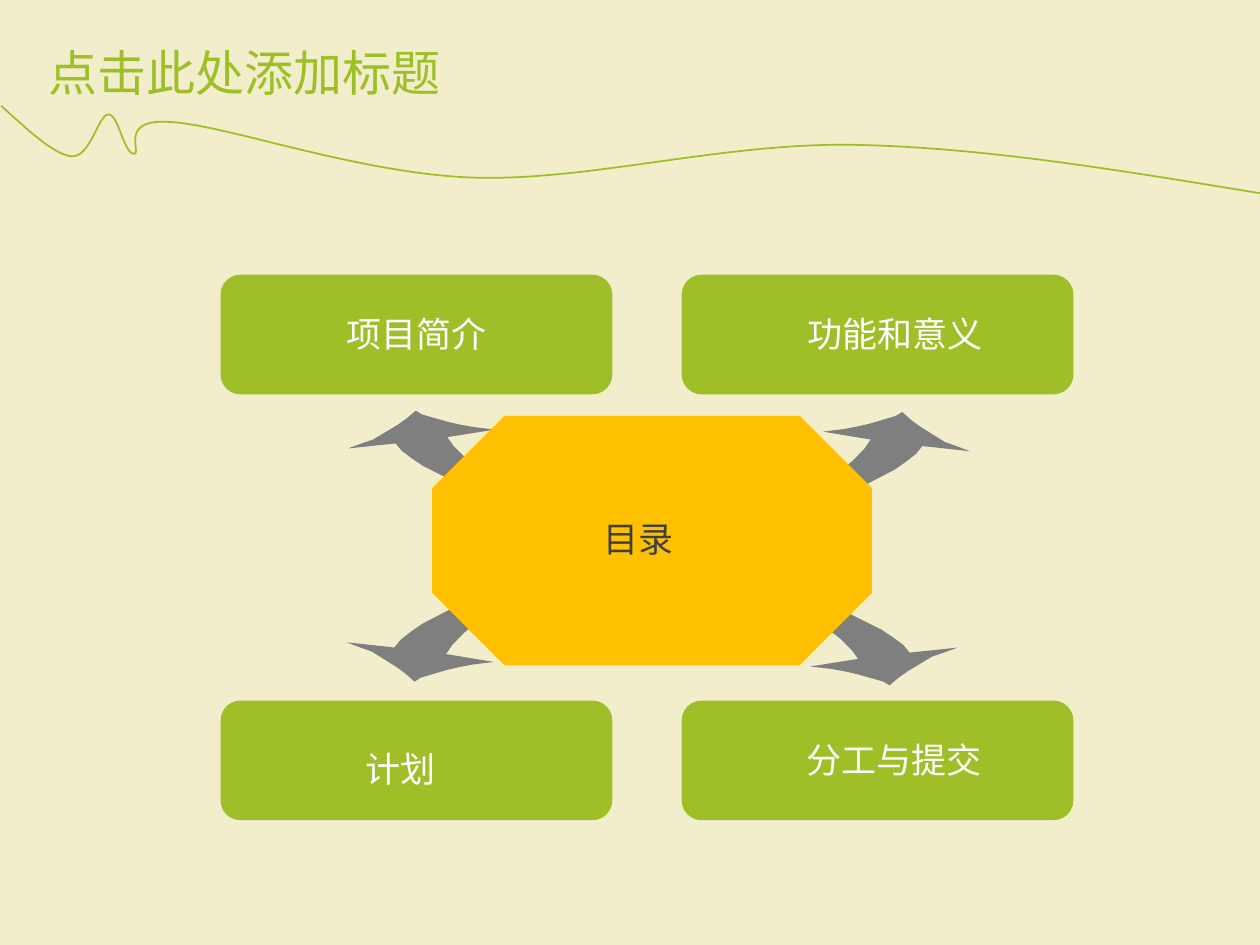
"""Build a contents slide with four topics around a central octagon."""
from dataclasses import dataclass

from pptx import Presentation
from pptx.dml.color import RGBColor
from pptx.enum.shapes import MSO_SHAPE as Shape
from pptx.enum.text import MSO_AUTO_SIZE as AutoSize
from pptx.oxml.ns import qn
from pptx.util import Inches, Pt


@dataclass(frozen=True)
class Theme:
    background: RGBColor = RGBColor.from_string("F2EDCA")
    green: RGBColor = RGBColor.from_string("9EBF27")
    gold: RGBColor = RGBColor.from_string("FFC000")
    gray: RGBColor = RGBColor.from_string("7F7F7F")
    white: RGBColor = RGBColor.from_string("FFFFFF")
    dark: RGBColor = RGBColor.from_string("404040")
    font: str = "Noto Sans CJK SC"
    title_size: Pt = Pt(28)
    label_size: Pt = Pt(20)


theme = Theme()
presentation = Presentation()
presentation.slide_width, presentation.slide_height = Inches(10), Inches(7.5)
slide = presentation.slides.add_slide(presentation.slide_layouts[6])
slide.background.fill.solid()
slide.background.fill.fore_color.rgb = theme.background


def add_outline(points, closed):
    """Add a freeform through points given in inches."""
    corners = [(Inches(x), Inches(y)) for x, y in points]
    builder = slide.shapes.build_freeform(*corners[0], scale=1.0)
    builder.add_line_segments(corners[1:], close=closed)
    shape = builder.convert_to_shape()
    shape.shadow.inherit = False
    return shape


def paint(shape, color):
    """Give a shape a flat fill without line or shadow."""
    shape.shadow.inherit = False
    shape.fill.solid()
    shape.fill.fore_color.rgb = color
    shape.line.fill.background()


wave_start = (0.01, 0.84)
wave_curves = [
    ((0.22, 1.03), (0.43, 1.23), (0.57, 1.24)),
    ((0.72, 1.25), (0.78, 0.91), (0.86, 0.91)),
    ((0.94, 0.9), (0.98, 1.21), (1.06, 1.22)),
    ((1.14, 1.23), (0.92, 0.93), (1.37, 0.97)),
    ((1.82, 1), (2.86, 1.38), (3.76, 1.41)),
    ((4.67, 1.44), (5.74, 1.13), (6.78, 1.15)),
    ((7.83, 1.17), (8.93, 1.36), (10.04, 1.54)),
]
steps = 32
wave_points = [wave_start]
for first, second, end in wave_curves:
    start = wave_points[-1]
    for step in range(1, steps + 1):
        t = step / steps
        weights = ((1 - t) ** 3, 3 * t * (1 - t) ** 2, 3 * t**2 * (1 - t), t**3)
        controls = (start, first, second, end)
        wave_points.append(tuple(
            sum(weight * point[axis] for weight, point in zip(weights, controls))
            for axis in (0, 1)
        ))
wave = add_outline(wave_points, closed=False)
wave.fill.background()
wave.line.color.rgb = theme.green
wave.line.width = Pt(1)

arrow_width, arrow_height = 1.78, 0.74
arrow_points = [
    (0, 0.01), (0.1, 0), (0.26, 0.01), (0.42, 0.02), (0.54, 0.04),
    (0.65, 0.07), (0.77, 0.11), (0.88, 0.15), (0.98, 0.2), (1.08, 0.25),
    (1.18, 0.3), (1.27, 0.36), (1.35, 0.42), (1.4, 0.48), (1.78, 0.44),
    (1.67, 0.48), (1.58, 0.51), (1.48, 0.57), (1.38, 0.63), (1.31, 0.68),
    (1.24, 0.74), (1.19, 0.71), (1.12, 0.69), (1.05, 0.67), (0.98, 0.65),
    (0.89, 0.63), (0.78, 0.61), (0.61, 0.59), (0.99, 0.53), (0.94, 0.46),
    (0.85, 0.37), (0.76, 0.3), (0.68, 0.24), (0.58, 0.17), (0.5, 0.13),
    (0.41, 0.09), (0.31, 0.06), (0.21, 0.04), (0.09, 0.02),
]
arrows = [
    (5.92, 3.27, 0.77, False, True),
    (5.82, 4.7, 0.74, False, False),
    (2.75, 4.64, 0.77, True, False),
    (2.76, 3.26, 0.74, True, True),
]
for left, top, height, flip_x, flip_y in arrows:
    stretch = height / arrow_height
    points = [
        (left + (arrow_width - x if flip_x else x),
         top + stretch * (arrow_height - y if flip_y else y))
        for x, y in arrow_points
    ]
    paint(add_outline(points, closed=True), theme.gray)

octagon = slide.shapes.add_shape(
    Shape.OCTAGON, Inches(3.43), Inches(3.3), Inches(3.49), Inches(1.98))
octagon.adjustments[0] = 0.29
paint(octagon, theme.gold)

for top in (2.18, 5.56):
    for left in (1.75, 5.41):
        card = slide.shapes.add_shape(
            Shape.ROUNDED_RECTANGLE,
            Inches(left), Inches(top), Inches(3.11), Inches(0.95))
        paint(card, theme.green)

title_format = {"size": theme.title_size, "color": theme.green}
topic_format = {"size": theme.label_size, "color": theme.white}
center_format = {"size": theme.label_size, "color": theme.dark}
side_padding = Inches(0.23)
labels = [
    ("点击此处添加标题", 0.29, 0.29, 0.57, title_format),
    ("项目简介", 2.65, 2.43, 0.44, topic_format),
    ("功能和意义", 6.31, 2.43, 0.44, topic_format),
    ("分工与提交", 6.3, 5.81, 0.44, topic_format),
    ("计划", 2.8, 5.88, 0.44, topic_format),
    ("目录", 4.69, 4.06, 0.44, center_format),
]
for text, left, top, height, text_format in labels:
    width = len(text) * text_format["size"] + side_padding
    box = slide.shapes.add_textbox(Inches(left), Inches(top), width, Inches(height))
    frame = box.text_frame
    frame.word_wrap = False
    frame.auto_size = AutoSize.SHAPE_TO_FIT_TEXT
    run = frame.paragraphs[0].add_run()
    run.text = text
    for name, value in {"name": theme.font, "size": text_format["size"]}.items():
        setattr(run.font, name, value)
    run.font.color.rgb = text_format["color"]
    east_asian = run.font._element.makeelement(qn("a:ea"), {"typeface": theme.font})
    run.font._element.append(east_asian)

presentation.save("out.pptx")
